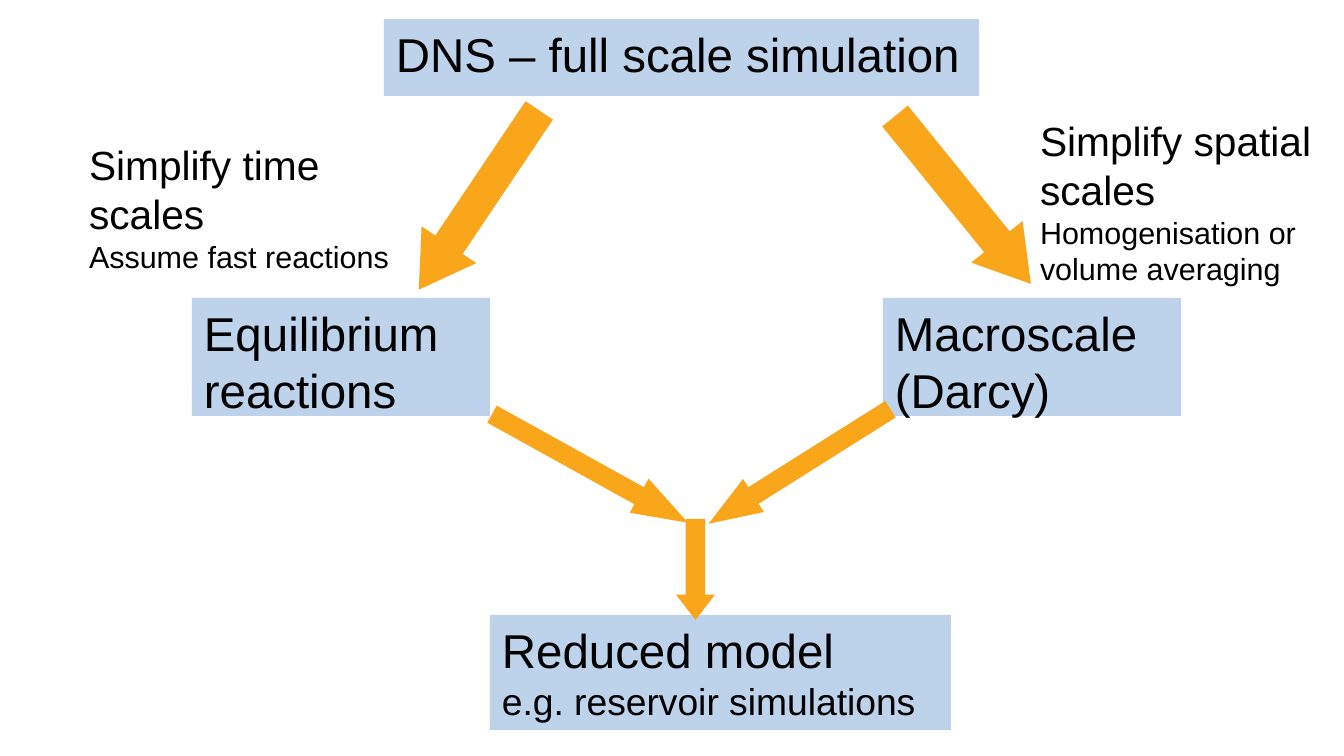
from lxml import etree
from pptx import Presentation
from pptx.dml.color import RGBColor
from pptx.enum.shapes import MSO_SHAPE
from pptx.enum.text import MSO_ANCHOR, MSO_AUTO_SIZE, PP_ALIGN
from pptx.oxml.ns import qn
from pptx.util import Pt

RECTANGLE = MSO_SHAPE.RECTANGLE
RIGHT_ARROW = MSO_SHAPE.RIGHT_ARROW
TOP = MSO_ANCHOR.TOP
LEFT = PP_ALIGN.LEFT
NO_AUTOFIT = MSO_AUTO_SIZE.NONE
EMU_PER_PX = 914400 / 122


def px(length):
    return round(length * EMU_PER_PX)


def color(hex_string):
    return RGBColor.from_string(hex_string)


class Diagram:
    font = "Arial"
    text_color = "000000"
    box_color = "7DA7D8"
    box_opacity = 50
    arrow_color = "FAA61A"

    def __init__(self, slide):
        self.slide = slide

    def shape(self, kind, bounds, fill):
        shape = self.slide.shapes.add_shape(kind, *map(px, bounds))
        shape.shadow.inherit = False
        shape.fill.solid()
        shape.fill.fore_color.rgb = color(fill)
        shape.line.fill.background()
        return shape

    def add_lines(self, shape, lines):
        frame = shape.text_frame
        frame.word_wrap = True
        frame.auto_size = NO_AUTOFIT
        frame.vertical_anchor = TOP
        frame.margin_left = frame.margin_right = px(12)
        frame.margin_top = frame.margin_bottom = px(6)
        for index, (text, size) in enumerate(lines):
            paragraph = frame.add_paragraph() if index else frame.paragraphs[0]
            paragraph.alignment = LEFT
            run = paragraph.add_run()
            run.text = text
            run.font.name = self.font
            run.font.size = Pt(size)
            run.font.color.rgb = color(self.text_color)

    def box(self, bounds, *lines):
        shape = self.shape(RECTANGLE, bounds, self.box_color)
        fill_color = shape.element.spPr.find(qn("a:solidFill"))[0]
        alpha = etree.SubElement(fill_color, qn("a:alpha"))
        alpha.set("val", str(self.box_opacity * 1000))
        self.add_lines(shape, lines)

    def label(self, bounds, *lines):
        self.add_lines(self.slide.shapes.add_textbox(*map(px, bounds)), lines)

    def arrow(self, bounds, rotation, head):
        shape = self.shape(RIGHT_ARROW, bounds, self.arrow_color)
        shape.adjustments[0] = 0.5
        shape.adjustments[1] = head
        shape.rotation = rotation


def main():
    presentation = Presentation()
    presentation.slide_width = px(1344)
    presentation.slide_height = px(756)
    slide = presentation.slides.add_slide(presentation.slide_layouts[6])
    diagram = Diagram(slide)

    diagram.box((384, 19, 595, 77), ("DNS – full scale simulation", 28))
    diagram.box((883, 298, 298, 118), ("Macroscale", 28), ("(Darcy)", 28))
    diagram.box((192, 298, 298, 118), ("Equilibrium reactions", 28))
    diagram.box((490, 615, 461, 115),
                ("Reduced model", 28), ("e.g. reservoir simulations", 22))

    diagram.arrow((371, 167, 216, 66), 123.9, 0.82)
    diagram.arrow((855, 167, 216, 66), 51, 0.82)

    diagram.label((1028, 110, 345, 171), ("Simplify spatial scales", 24),
                  ("Homogenisation or volume averaging", 18))
    diagram.label((77, 134, 345, 137), ("Simplify time scales", 24),
                  ("Assume fast reactions", 18))

    diagram.arrow((478, 449, 224, 39), 29, 1.43)
    diagram.arrow((692, 447, 215, 39), 147.8, 1.36)
    diagram.arrow((645, 550, 101, 39), 90, 0.65)

    presentation.save("out.pptx")


if __name__ == "__main__":
    main()
